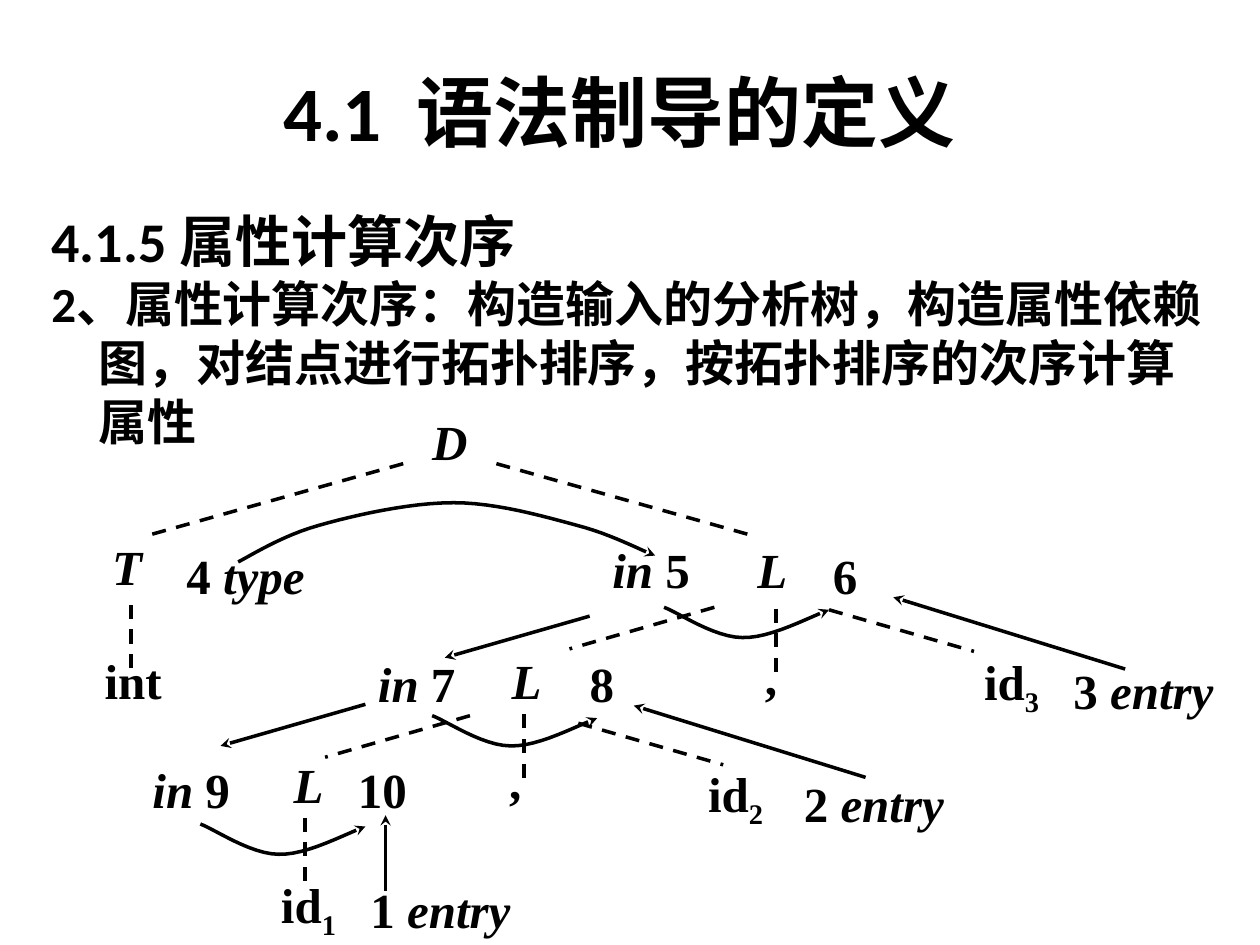
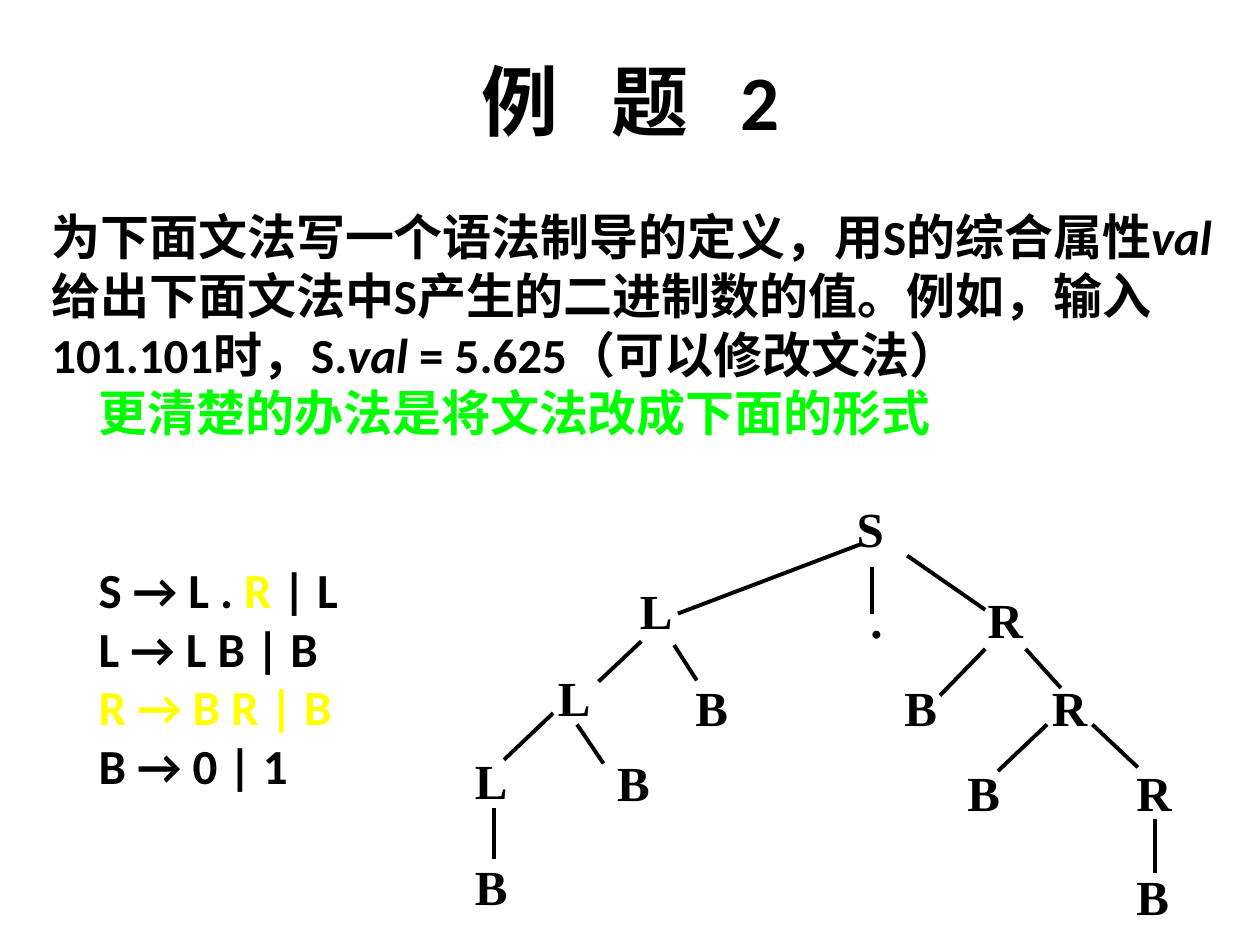
from lxml import etree
from pptx import Presentation
from pptx.dml.color import RGBColor
from pptx.enum.dml import MSO_LINE_DASH_STYLE as Dash
from pptx.enum.shapes import MSO_CONNECTOR as Connector
from pptx.enum.text import MSO_ANCHOR as Anchor, MSO_AUTO_SIZE as AutoSize, PP_ALIGN as Align
from pptx.oxml.ns import qn
from pptx.util import Pt

BLACK, GREEN, YELLOW = "000000", "00FF00", "FFFF00"
LATIN, CHINESE, SERIF = "Calibri", "Noto Sans CJK SC", "Times New Roman"
ITALIC = {"italic": True}
SUBSCRIPT = {"baseline": "-25000"}
TITLE = {"name": LATIN, "size": Pt(44), "bold": True}
HEADING = {"name": LATIN, "size": Pt(32), "bold": True}
BODY = {"name": LATIN, "size": Pt(28), "bold": True}
NODE = {"name": SERIF, "size": Pt(28), "bold": True}

presentation = Presentation()
presentation.slide_width, presentation.slide_height = 9144000, 6858000
column = presentation.slide_width // 100
row = presentation.slide_height // 75


def write_runs(paragraph, runs, base):
    for text, changes in runs:
        run = paragraph.add_run()
        run.text = text
        properties = run._r.get_or_add_rPr()
        values = {"color": BLACK, **base, **changes}
        run.font.color.rgb = RGBColor.from_string(values.pop("color"))
        for name, value in values.items():
            if name in ("baseline", "spc"):
                properties.set(name, value)
            else:
                setattr(run.font, name, value)
        etree.SubElement(properties, qn("a:ea")).set("typeface", CHINESE)


def style_line(shape, width, dashed=False, arrow=False):
    shape.line.color.rgb = RGBColor.from_string(BLACK)
    shape.line.width = Pt(width)
    if dashed:
        shape.line.dash_style = Dash.DASH
    if arrow:
        etree.SubElement(shape.line._get_or_add_ln(), qn("a:tailEnd")).set("type", "stealth")
    etree.SubElement(shape._element.spPr, qn("a:effectLst"))


wide_gap, title_gap = (" ", {"name": CHINESE, "spc": "2000"}), (" ", {"spc": "1000"})
order_paragraphs = [
    (HEADING, 0, 0, [("4.1.5 属性计算次序", {})]),
    (BODY, 0, 0, [
        ("2、属性计算次序：", {}),
        ("构造输入的分析树，构造属性依赖图，对结点进行拓扑排序，按拓扑排序的次序计算属性",
         {"name": CHINESE})]),
]
exercise_paragraphs = [
    (BODY, 0, 0, [("为下面文法写一个语法制导的定义，用S的综合属性", {}), ("val", ITALIC)]),
    (BODY, 0, 0, [("给出下面文法中S产生的二进制数的值。例如，输入", {})]),
    (BODY, 0, 0, [("101.101时，S.", {}), ("val", ITALIC), (" = 5.625（可以修改文法）", {})]),
    (BODY, 1, 0, [("更清楚的办法是将文法改成下面的形式", {"color": GREEN})]),
    (BODY, 1, 2, [("S → L . ", {}), ("R", {"color": YELLOW}), (" | L", {})]),
    (BODY, 1, 0, [("L → L B | B", {})]),
    (BODY, 1, 0, [("R → B R | B", {"color": YELLOW})]),
    (BODY, 1, 0, [("B → 0 | 1", {})]),
]
pages = [
    ((6.7, 2.5, 85, 12.5), [("4.1", {}), title_gap, ("语法制导的定义", {})],
     93.7, Align.LEFT, order_paragraphs),
    ((4.2, 3.3, 91.7, 9.2),
     [("例", {"name": CHINESE}), wide_gap, ("题", {"name": CHINESE}), wide_gap, ("2", {})],
     96.8, Align.JUSTIFY, exercise_paragraphs),
]

slides = []
for (left, top, width, height), title_runs, body_width, alignment, paragraphs in pages:
    slide = presentation.slides.add_slide(presentation.slide_layouts[5])
    slides.append(slide)
    title = slide.shapes.title
    title.left, title.top = int(left * column), int(top * row)
    title.width, title.height = int(width * column), int(height * row)
    title.text_frame.auto_size = AutoSize.NONE
    title.text_frame.vertical_anchor = Anchor.MIDDLE
    title.text_frame.paragraphs[0].alignment = Align.CENTER
    write_runs(title.text_frame.paragraphs[0], title_runs, TITLE)

    body = slide.shapes.add_textbox(
        int(3.1 * column), int(15.9 * row), int(body_width * column), int(55.1 * row))
    body.text_frame.word_wrap = True
    for index, (base, indented, skipped_lines, runs) in enumerate(paragraphs):
        paragraph = body.text_frame.add_paragraph() if index else body.text_frame.paragraphs[0]
        properties = paragraph._p.get_or_add_pPr()
        properties.set("marL", str(int(3.75 * column)))
        properties.set("indent", "0" if indented else str(int(-3.75 * column)))
        paragraph.alignment = alignment
        line_height = base["size"].pt * 1.2
        paragraph.line_spacing = Pt(line_height)
        if skipped_lines:
            paragraph.space_before = Pt(skipped_lines * line_height)
        write_runs(paragraph, runs, base)

dependency_slide, tree_slide = slides

dependency_labels = [
    (34.1, 32.6, 4.3, [("D", ITALIC)]),
    (8.7, 42.5, 6.4, [("T", ITALIC)]),
    (8.1, 51.5, 11.8, [("int", {})]),
    (14.6, 43.2, 10.6, [("4 ", {}), ("type", ITALIC)]),
]
dependency_labels += [(left, top, 4.8, [("L", ITALIC)])
                      for left, top in [(59.9, 42.7), (40.4, 51.5), (23.1, 59.8)]]
dependency_labels += [(left, top, 4.3, [(",", {})])
                      for left, top in [(60.5, 51.2), (40.2, 59.5)]]
dependency_labels += [(left, top, 7.4, [("in ", ITALIC), (number, {})])
                      for number, left, top in
                      [("5", 48.4, 42.7), ("7", 29.8, 51.8), ("9", 11.9, 60.2)]]
dependency_labels += [(left, top, 4.8, [(number, {})])
                      for number, left, top in
                      [("6", 65.9, 43.2), ("8", 46.6, 51.8), ("10", 28.2, 60.2)]]
dependency_labels += [(left, top, 9.9, [("id", {}), (number, SUBSCRIPT)])
                      for number, left, top in
                      [("3", 77.9, 51.6), ("2", 56, 60.5), ("1", 22.1, 69.3)]]
dependency_labels += [(left, top, 11.7, [(number + " ", {}), ("entry", ITALIC)])
                      for number, left, top in
                      [("3", 85, 52.3), ("2", 63.6, 61.3), ("1", 29.2, 69.7)]]
for left, top, width, runs in dependency_labels:
    label = dependency_slide.shapes.add_textbox(
        int(left * column), int(top * row), int(width * column), int(4.8 * row))
    frame = label.text_frame
    frame.word_wrap = True
    frame.margin_left = frame.margin_right = int(0.2 * column)
    frame.margin_top = frame.margin_bottom = int(0.1 * row)
    write_runs(frame.paragraphs[0], runs, NODE)

line_families = [
    ((-20.3, 5.7), [(32, 36.8)], True),
    ((20.3, 5.7), [(39.4, 36.8)], True),
    ((0, 5.1), [(10.4, 48), (61.6, 48.3), (41.6, 56.7), (24.2, 64.9)], True),
    ((-11.5, 3.3), [(56.7, 48.2), (37.3, 56.8)], True),
    ((11.5, 3.3), [(65.8, 48.4), (45.9, 57.4)], True),
    ((-11.5, 3.3), [(46.8, 48.9), (29, 55.9)], False),
    ((-18.4, -5.7), [(89.3, 53.1), (68.7, 61.7)], False),
    ((0, -6), [(30.6, 70.7)], False),
]
for (across, down), starts, dashed in line_families:
    for x, y in starts:
        line = dependency_slide.shapes.add_connector(
            Connector.STRAIGHT, int(x * column), int(y * row),
            int((x + across) * column), int((y + down) * row))
        style_line(line, 2, dashed=dashed, arrow=not dashed)

type_curve = [(0, 0), (1, -0.5), (3.5, -2.1), (6.4, -2.9), (9.2, -3.7), (13.6, -4.7),
              (17.1, -4.7), (20.5, -4.7), (24.3, -3.6), (26.9, -2.9), (29.6, -2.2),
              (31.8, -1), (33.1, -0.5)]
inherited_curve = [(0, 0), (1.1, 0.4), (4, 2.4), (6.2, 2.4), (8.4, 2.5), (11.7, 0.7), (13.1, 0.2)]
curves = [(18.9, 44.6, type_curve)]
curves += [(15.9 + 18.4 * level, 65.4 - 8.6 * level, inherited_curve) for level in range(3)]
for left, top, controls in curves:
    points = []
    for first in range(0, len(controls) - 1, 3):
        for step in range(13):
            t = step / 12
            weights = ((1 - t) ** 3, 3 * t * (1 - t) ** 2, 3 * t * t * (1 - t), t ** 3)
            segment = controls[first:first + 4]
            x, y = (sum(w * point[axis] for w, point in zip(weights, segment)) for axis in (0, 1))
            points.append((int((left + x) * column), int((top + y) * row)))
    builder = dependency_slide.shapes.build_freeform(*points[0])
    builder.add_line_segments(points[1:], close=False)
    curve = builder.convert_to_shape()
    curve.fill.background()
    style_line(curve, 2, arrow=True)

tree_nodes = [
    ("S", 67, 39.1), (".", 68.1, 46.3),
    ("L", 49.8, 45.6), ("L", 43.3, 52.5), ("L", 36.7, 59.1),
    ("B", 54.2, 53.3), ("B", 48, 59.2), ("B", 36.7, 67.5),
    ("R", 77.4, 46.3), ("R", 82.5, 53.3), ("R", 89.2, 60),
    ("B", 70.8, 53.3), ("B", 75.8, 60), ("B", 89.2, 68.3),
]
for letter, left, top in tree_nodes:
    node = tree_slide.shapes.add_textbox(
        int(left * column), int(top * row), int(6.5 * column), int(5.9 * row))
    node.text_frame.word_wrap = True
    write_runs(node.text_frame.paragraphs[0], [(letter, {})], NODE)

tree_edges = [
    (68.3, 43.2, 53.8, 48.7), (69.2, 45, 69.2, 48.7), (72, 44.1, 78.2, 48.4),
    (50.9, 50.9, 47.5, 54.1), (53.5, 51.2, 55.3, 54),
    (43.9, 56.6, 40, 60.3), (45.8, 57.5, 47.9, 60.6), (39.2, 64.1, 39.2, 68.2),
    (78.2, 51.5, 74.6, 55.2), (81.4, 51.5, 84.2, 54.6),
    (83.1, 57.5, 79.2, 61.2), (86.7, 57.5, 90.3, 60.9), (91.7, 65, 91.7, 69.3),
]
for x1, y1, x2, y2 in tree_edges:
    edge = tree_slide.shapes.add_connector(
        Connector.STRAIGHT, int(x1 * column), int(y1 * row), int(x2 * column), int(y2 * row))
    style_line(edge, 2.25)

presentation.save("out.pptx")
